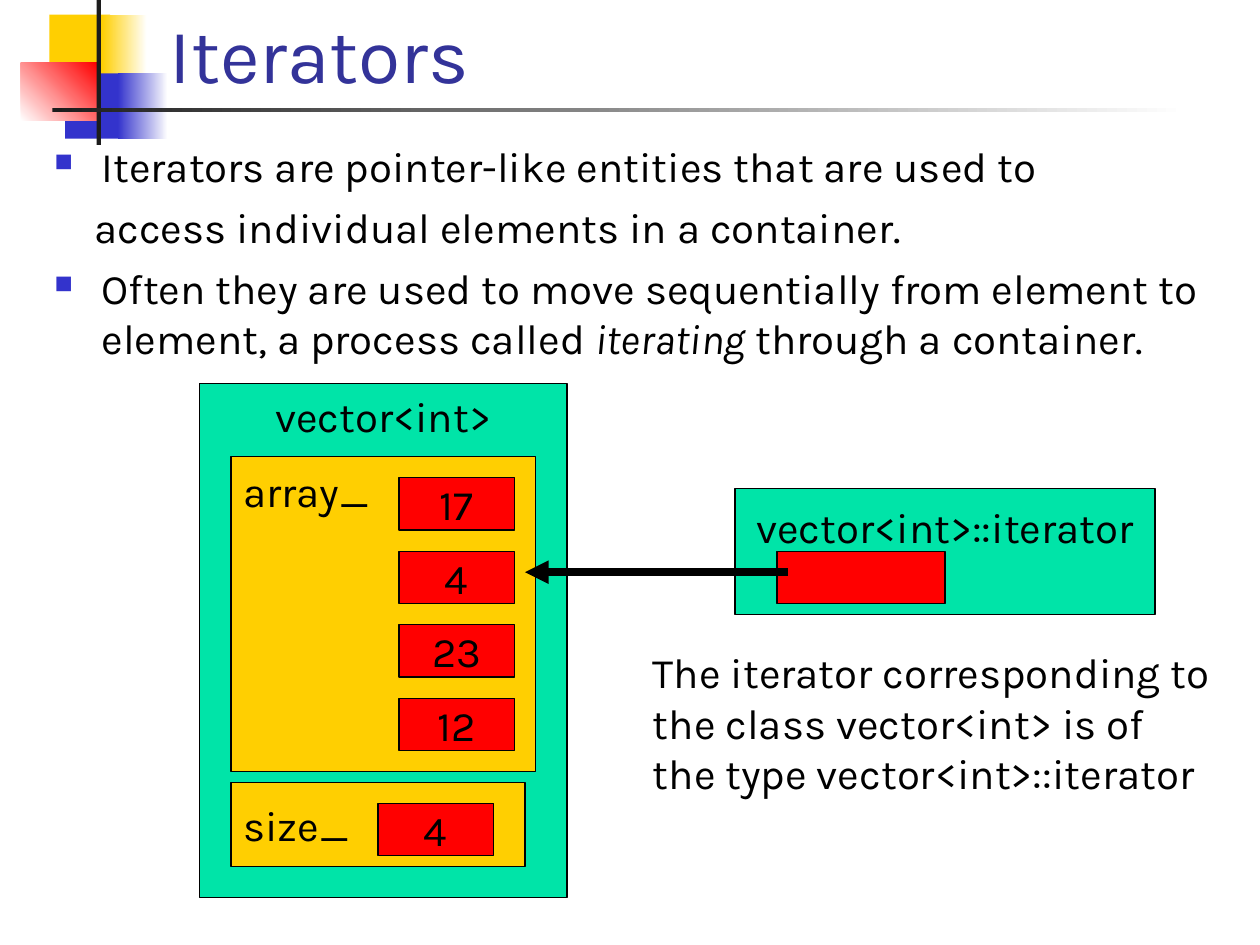
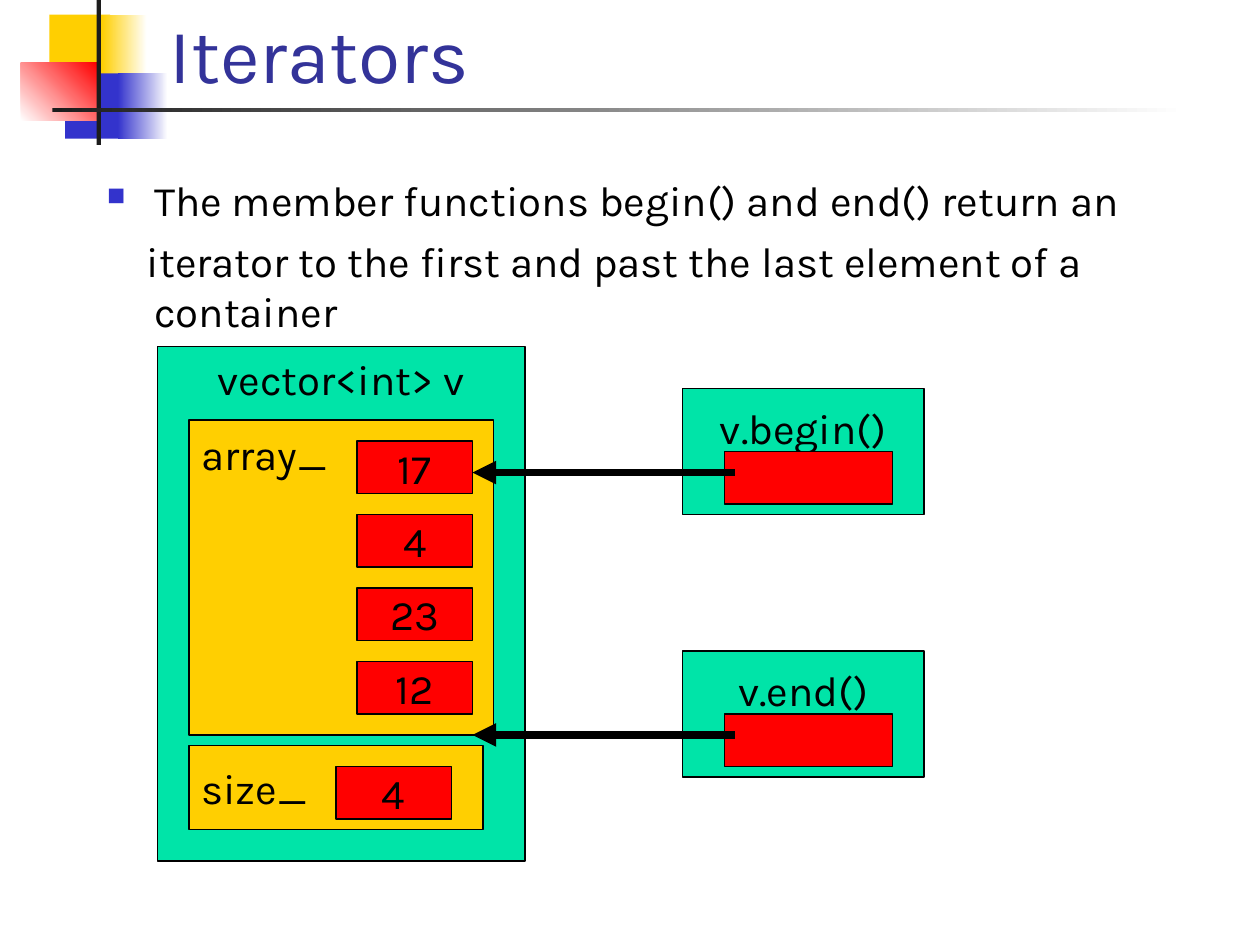
from dataclasses import dataclass

from lxml import etree
from pptx import Presentation
from pptx import util as u
from pptx.dml.color import RGBColor
from pptx.enum import shapes as es, text as et
from pptx.oxml import ns

PX = 7620  # EMU per px, 120 px to the inch


@dataclass(frozen=True)
class Theme:
    face: str = "Karla"
    head: int = 44
    body: int = 24
    ink: str = "000000"
    title: str = "333399"
    green: str = "00E4A8"
    gold: str = "FFCF01"
    red: str = "FF0000"
    blue: str = "3333CC"
    dark: str = "1C1C1C"
    white: str = "FFFFFF"


T = Theme()

# Box, first colour, last colour (None for a plain fill), angle
DECOR = [
    ((47, 14, 58, 62), T.gold, None, 0),
    ((97, 14, 43, 62), T.gold, T.white, 0),
    ((62, 70, 55, 62), T.blue, None, 0),
    ((112, 70, 48, 62), T.blue, T.white, 0),
    ((20, 60, 73, 55), T.white, T.red, 45),
    ((92, 0, 4, 138), T.dark, None, 0),
    ((50, 103, 1080, 4), T.dark, T.white, 0),
]
ARRAY = ["17", "4", "23", "12"]
LEFT, MID = et.PP_ALIGN.LEFT, et.PP_ALIGN.CENTER


def emu(*nums):
    return [u.Emu(n * PX) for n in nums]


def rgb(code):
    return RGBColor.from_string(code)


def apply(item, form):
    for name, value in form.items():
        setattr(item, name, value)


def child(node, tag, **attrs):
    return etree.SubElement(node, ns.qn(tag), attrs)


def write(para, words, size=T.body, color=T.ink, **form):
    run = para.add_run()
    run.text = words
    apply(run.font, {"name": T.face, "size": u.Pt(size), **form})
    run.font.color.rgb = rgb(color)


def rect(slide, box, color):
    shape = slide.shapes.add_shape(es.MSO_SHAPE.RECTANGLE, *emu(*box))
    shape.shadow.inherit = False
    shape.fill.solid()
    shape.fill.fore_color.rgb = rgb(color)
    shape.line.fill.background()
    return shape


def block(slide, box, color, label="", align=MID, inset=None):
    """Outlined box; a label sits `inset` px below the top, or in the middle."""
    shape = rect(slide, box, color)
    shape.line.color.rgb = rgb(T.ink)
    shape.line.width = u.Pt(0.75)
    if label:
        frame = shape.text_frame
        frame.word_wrap = True
        frame.vertical_anchor = et.MSO_ANCHOR.MIDDLE
        if inset is not None:
            apply(frame, {"vertical_anchor": et.MSO_ANCHOR.TOP,
                          "margin_top": u.Emu(inset * PX)})
        frame.paragraphs[0].alignment = align
        write(frame.paragraphs[0], label)


def decor(slide):
    for box, first, last, angle in DECOR:
        fill = rect(slide, box, first).fill
        if last:
            fill.gradient()
            fill.gradient_angle = angle
            for stop, color in zip(fill.gradient_stops, (first, last)):
                stop.color.rgb = rgb(color)


def textbox(slide, box, wrap=True):
    frame = slide.shapes.add_textbox(*emu(*box)).text_frame
    frame.word_wrap = wrap
    return frame


def lines(frame, count):
    """Return the first `count` paragraphs of the frame, adding what is missing."""
    return [frame.paragraphs[0]] + [frame.add_paragraph() for _ in range(count - 1)]


def title(slide, words):
    frame = textbox(slide, (150, -50, 1022, 150))
    frame.vertical_anchor = et.MSO_ANCHOR.BOTTOM
    write(frame.paragraphs[0], words, T.head, T.title)


def bullets(slide, box, items):
    """Each item is (has a mark, runs); every second run is italic."""
    frame = textbox(slide, box)
    for i, (para, (mark, runs)) in enumerate(zip(lines(frame, len(items)), items)):
        props = para._p.get_or_add_pPr()
        apply_indent = {"marL": 45, "indent": -45 if mark else -7}
        for name, size in apply_indent.items():
            props.set(name, str(size * PX))
        if mark:
            child(child(props, "a:buClr"), "a:srgbClr", val=T.blue)
            child(props, "a:buSzPct", val="60000")
            child(props, "a:buChar", char="■")
        else:
            child(props, "a:buNone")
        if i:
            para.space_before = u.Pt(6)
        for k, words in enumerate(runs):
            write(para, words, italic=k % 2 == 1)


def arrow(slide, x, y, end):
    line = slide.shapes.add_connector(es.MSO_CONNECTOR.STRAIGHT, *emu(x, y, end, y))
    line.line.color.rgb = rgb(T.ink)
    line.line.width = u.Pt(4.5)
    child(line.line._get_or_add_ln(), "a:tailEnd", type="triangle")
    child(line._element.spPr, "a:effectLst")


def vector(slide, x, y, name):
    block(slide, (x, y, 350, 490), T.green, name, inset=7)
    block(slide, (x + 30, y + 70, 290, 300), T.gold, "array_", LEFT, 8)
    for i, value in enumerate(ARRAY):
        block(slide, (x + 190, y + 90 + 70 * i, 110, 50), T.red, value)
    block(slide, (x + 30, y + 380, 280, 80), T.gold, "size_", LEFT)
    block(slide, (x + 170, y + 400, 110, 50), T.red, str(len(ARRAY)))


def pointer(slide, x, y, width, name):
    """Iterator box with a slot and an arrow that points left out of it."""
    block(slide, (x, y, width, 120), T.green, name, inset=13)
    block(slide, (x + 40, y + 60, 160, 50), T.red)
    arrow(slide, x + 50, y + 80, x - 200)


def page(deck, box, items):
    slide = deck.slides.add_slide(deck.slide_layouts[6])
    decor(slide)
    title(slide, "Iterators")
    bullets(slide, box, items)
    return slide


def main():
    deck = Presentation()
    deck.slide_width, deck.slide_height = emu(1200, 900)

    slide = page(deck, (40, 128, 1135, 230), [
        (True, ["Iterators are pointer-like entities that are used to"]),
        (False, ["access individual elements in a container."]),
        (True, ["Often they are used to move sequentially from element to "
                "element, a process called ", "iterating", " through a container."]),
    ])
    vector(slide, 190, 365, "vector<int>")
    pointer(slide, 700, 465, 400, "vector<int>::iterator")
    note = ["The iterator corresponding to", "the class vector<int> is of",
            "the type vector<int>::iterator"]
    frame = textbox(slide, (610, 610, 581, 156), wrap=False)
    for para, words in zip(lines(frame, len(note)), note):
        write(para, words)

    slide = page(deck, (90, 160, 1020, 170), [
        (True, ["The member functions begin() and end() return an"]),
        (False, ["iterator to the first and past the last element of a container"]),
    ])
    vector(slide, 150, 330, "vector<int> v")
    for y, name in ((620, "v.end()"), (370, "v.begin()")):
        pointer(slide, 650, y, 230, name)

    deck.save("out.pptx")


if __name__ == "__main__":
    main()
